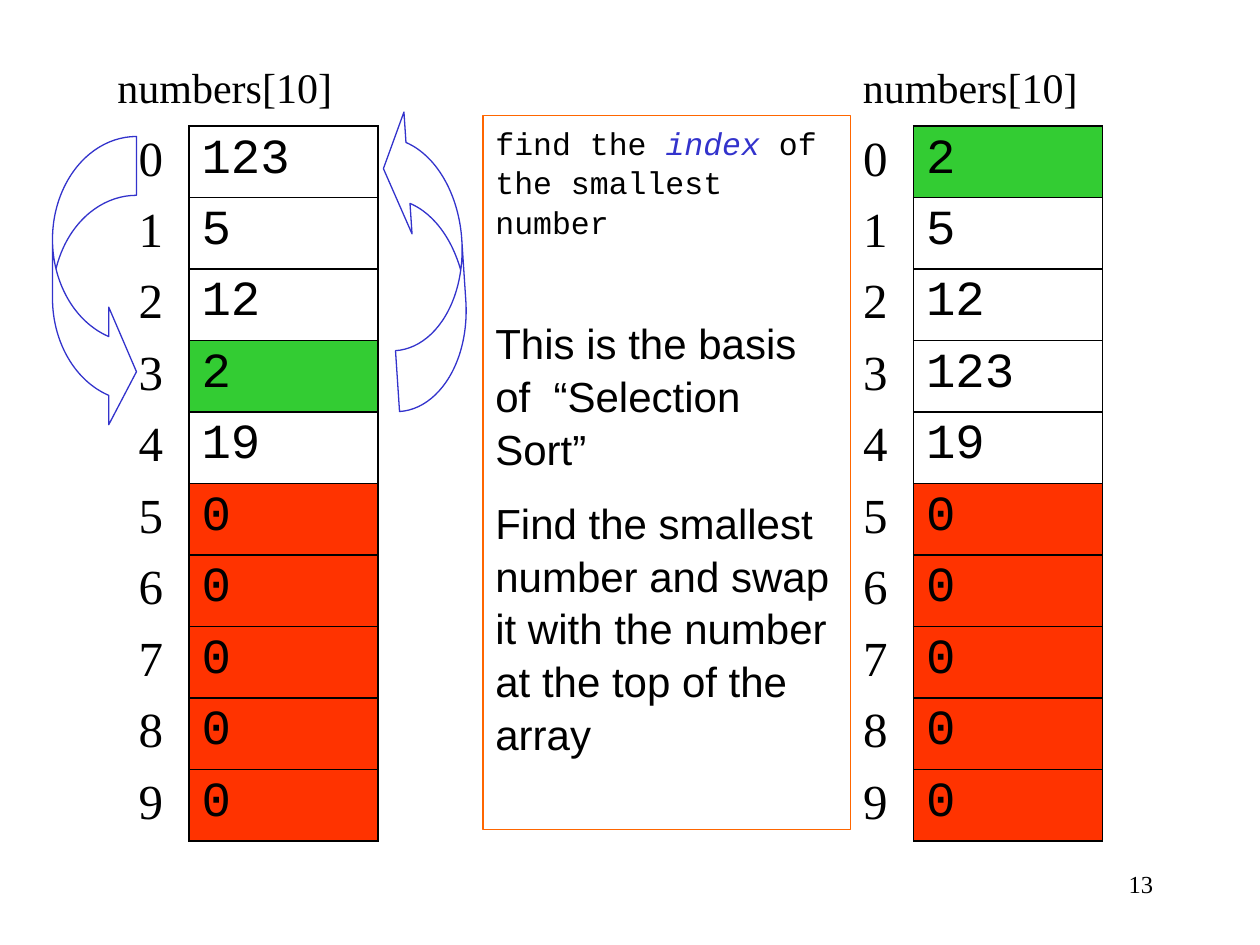
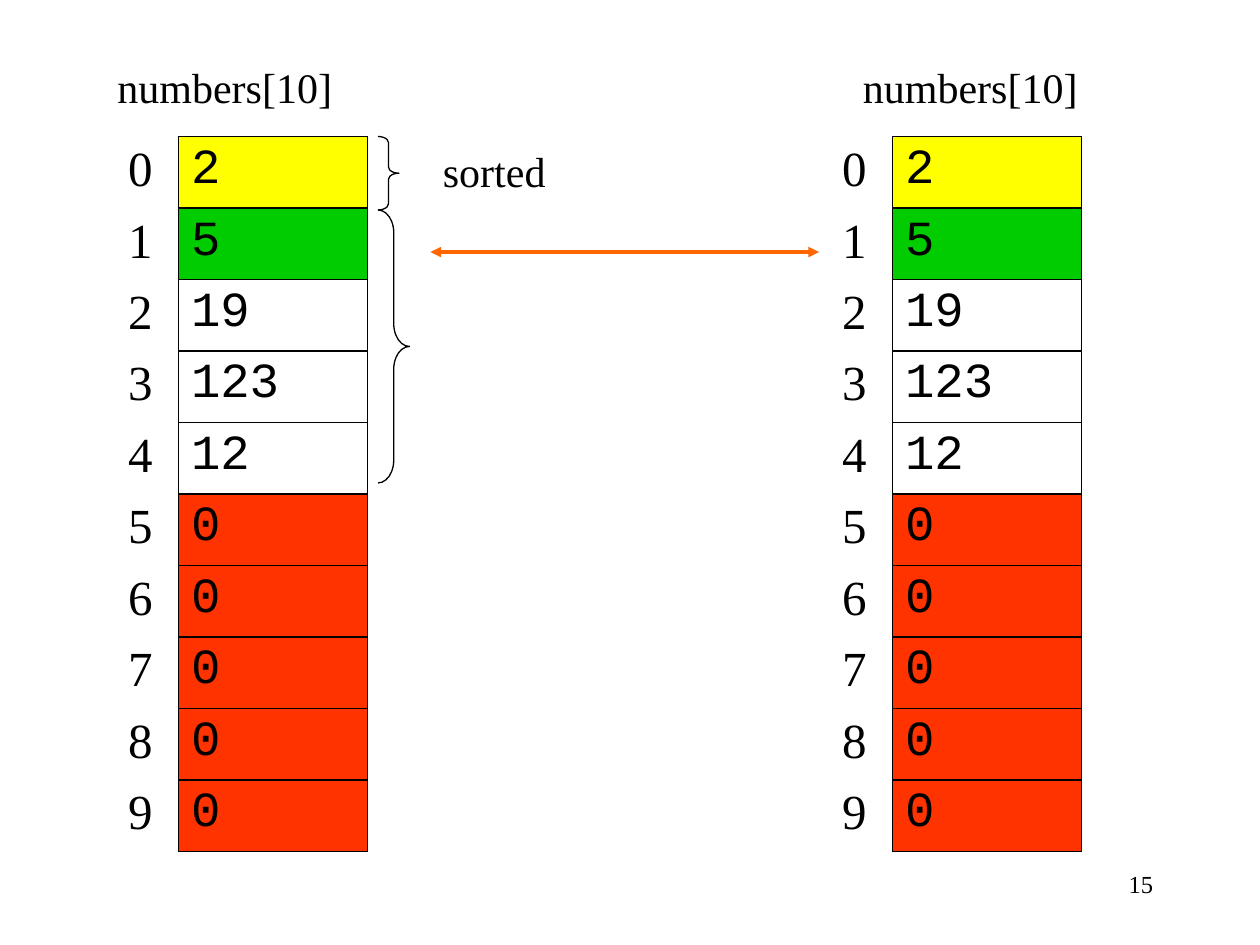
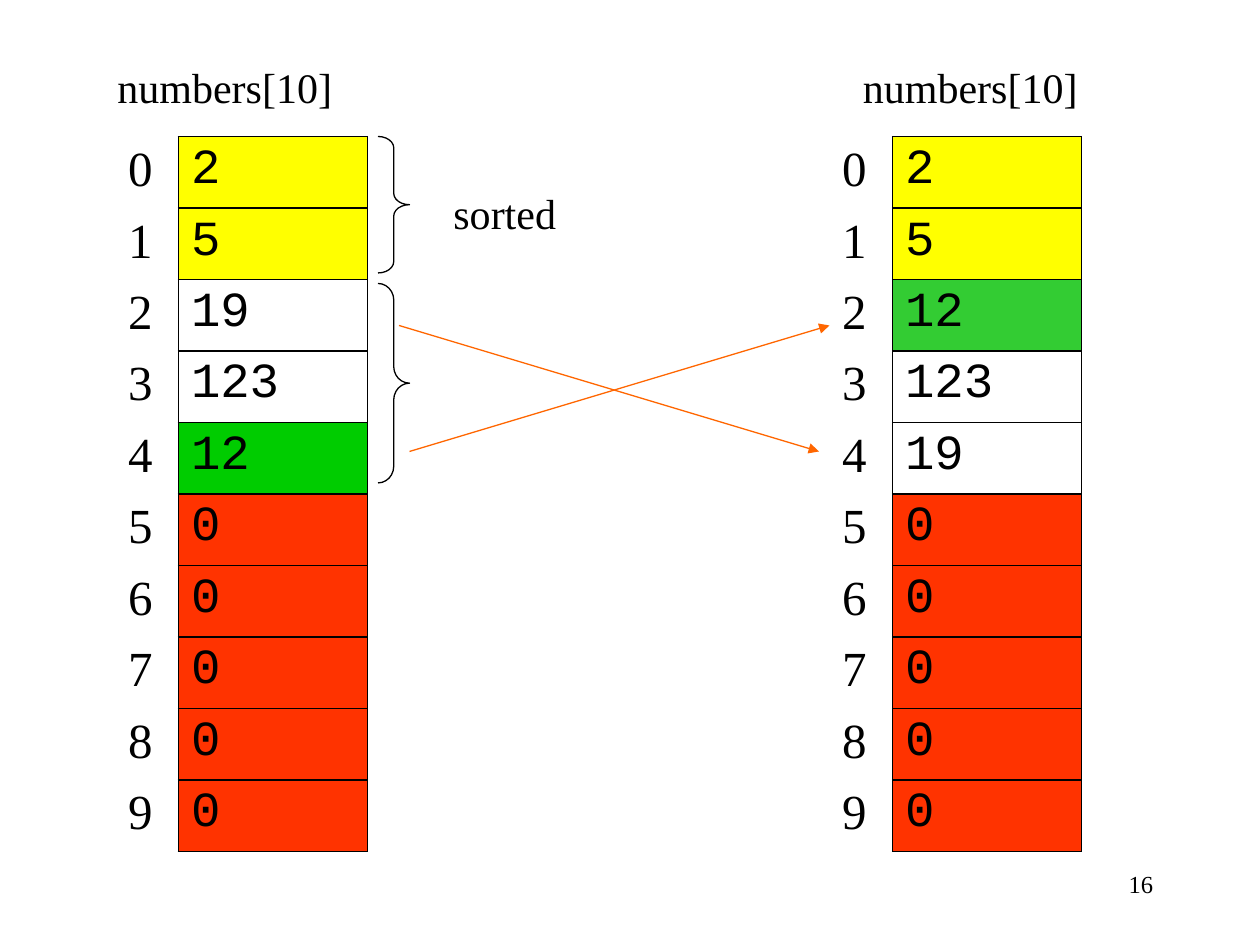
from dataclasses import dataclass

from lxml import etree
from pptx import Presentation
from pptx.dml.color import RGBColor
from pptx.enum.shapes import MSO_CONNECTOR, MSO_SHAPE
from pptx.enum.text import MSO_ANCHOR, PP_ALIGN
from pptx.oxml.ns import qn
from pptx.util import Pt

LEFT, RIGHT = PP_ALIGN.LEFT, PP_ALIGN.RIGHT
TOP = MSO_ANCHOR.TOP
RECTANGLE, BRACE = MSO_SHAPE.RECTANGLE, MSO_SHAPE.RIGHT_BRACE
RIGHT_ARROW, LEFT_ARROW = MSO_SHAPE.CURVED_RIGHT_ARROW, MSO_SHAPE.CURVED_LEFT_ARROW
STRAIGHT = MSO_CONNECTOR.STRAIGHT


@dataclass(frozen=True)
class Theme:
    black: str = "000000"
    orange: str = "FF6600"
    blue: str = "3333CC"
    unused: str = "FF3300"
    done: str = "FFFF00"
    found: str = "33CC33"
    smallest: str = "00CC00"
    serif: str = "Times New Roman"
    sans: str = "Arial"
    mono: str = "Courier New"
    cell_size: float = 28
    text_size: float = 24
    code_size: float = 18
    number_size: float = 14
    thin: float = 0.75
    border: float = 1
    thick: float = 2
    line_spacing: float = 1.05


THEME = Theme()
ARRAY_NAME = "numbers[10]"
ARRAY_LENGTH = 10
INDEX_WIDTH, VALUE_WIDTH, ROW_HEIGHT = 36, 108, 40.85
NAME_LEFTS, NAME_TOP, NAME_SIZE = (60, 486), 30, (156, 36)
SORTED_SIZE = (84, 36)
NUMBER_BOX = (516, 492, 150, 36)
BLANK_LAYOUT = 6

# A paragraph is (space before, [(text, font, size, colour, italic), ...]).
CODE = (THEME.mono, THEME.code_size)
PROSE = (THEME.sans, THEME.text_size, THEME.black, False)
NOTE_BOX = (276, 66, 210, 408)
NOTE = [
    (0, [("find the ", *CODE, THEME.black, False),
         ("index", *CODE, THEME.blue, True),
         (" of the smallest number", *CODE, THEME.black, False)]),
    (42.5, [("This is the basis of  “Selection Sort”", *PROSE)]),
    (12, [("Find the smallest number and swap it with the number at the top of the array",
           *PROSE)]),
]

# An array is (left, top, values, {index: fill}); cells past the values are unused.
# A swap arrow is (kind, box, adjustments, rotation, flipped).
# A line is (start, end, width, double-headed).
SLIDES = [
    {
        "number": "13",
        "arrays": [
            (72, 72, [123, 5, 12, 2, 19], {3: THEME.found}),
            (486, 72, [2, 5, 12, 123, 19], {0: THEME.found}),
        ],
        "note": NOTE,
        "swap_arrows": [
            (RIGHT_ARROW, (30, 78, 48, 168), (0.7, 1.4, 0.33), 0, False),
            (LEFT_ARROW, (222.5, 60, 42, 174), (0.83, 1.66, 0.33), 176.2, True),
        ],
    },
    {
        "number": "15",
        "arrays": [
            (left, 78, [2, 5, 19, 123, 12], {0: THEME.done, 1: THEME.smallest})
            for left in (66, 474)
        ],
        "braces": [(216, 78, 12, 42), (216, 120, 18, 156)],
        "sorted_at": (246, 78),
        "lines": [((246, 144), (468, 144), THEME.thick, True)],
    },
    {
        "number": "16",
        "arrays": [
            (66, 78, [2, 5, 19, 123, 12],
             {0: THEME.done, 1: THEME.done, 4: THEME.smallest}),
            (474, 78, [2, 5, 12, 123, 19],
             {0: THEME.done, 1: THEME.done, 2: THEME.found}),
        ],
        "braces": [(216, 78, 18, 78), (216, 162, 18, 114)],
        "sorted_at": (252, 102),
        "lines": [
            ((234, 258), (474, 186), THEME.thin, False),
            ((228, 186), (468, 258), THEME.thin, False),
        ],
    },
]


def points(*lengths):
    return [Pt(length) for length in lengths]


def add_run(paragraph, text, font, size, color=THEME.black, italic=False):
    run = paragraph.add_run()
    run.text = text
    run.font.name = font
    run.font.size = Pt(size)
    run.font.italic = italic
    run.font.color.rgb = RGBColor.from_string(color)


def write_paragraphs(frame, paragraphs, align=LEFT):
    frame.word_wrap = True
    frame.vertical_anchor = TOP
    for position, (space_before, runs) in enumerate(paragraphs):
        paragraph = frame.add_paragraph() if position else frame.paragraphs[0]
        paragraph.alignment = align
        paragraph.line_spacing = THEME.line_spacing
        if space_before:
            paragraph.space_before = Pt(space_before)
        for run in runs:
            add_run(paragraph, *run)


def add_label(slide, box, text, size=THEME.text_size, align=LEFT):
    label = slide.shapes.add_textbox(*points(*box))
    write_paragraphs(label.text_frame, [(0, [(text, THEME.serif, size)])], align)


def add_outline(slide, kind, box, color, adjustments=()):
    shape = slide.shapes.add_shape(kind, *points(*box))
    shape.shadow.inherit = False
    shape.fill.background()
    shape.line.color.rgb = RGBColor.from_string(color)
    shape.line.width = Pt(THEME.thin)
    for position, value in enumerate(adjustments):
        shape.adjustments[position] = value
    return shape


def set_borders(cell, sides):
    """Draw the named sides (L, R, T, B) and hide the others."""
    properties = cell._tc.get_or_add_tcPr()
    for position, side in enumerate("LRTB"):
        line = etree.Element(qn(f"a:ln{side}"), w=str(Pt(THEME.border)))
        if side in sides:
            fill = etree.SubElement(line, qn("a:solidFill"))
            etree.SubElement(fill, qn("a:srgbClr"), val=THEME.black)
        else:
            etree.SubElement(line, qn("a:noFill"))
        properties.insert(position, line)


def fill_cell(cell, text, font, color, sides):
    add_run(cell.text_frame.paragraphs[0], text, font, THEME.cell_size)
    if color:
        cell.fill.solid()
        cell.fill.fore_color.rgb = RGBColor.from_string(color)
    else:
        cell.fill.background()
    set_borders(cell, sides)


def add_array(slide, left, top, values, fills):
    width, height = INDEX_WIDTH + VALUE_WIDTH, ROW_HEIGHT * ARRAY_LENGTH
    table = slide.shapes.add_table(
        ARRAY_LENGTH, 2, *points(left, top, width, height)).table
    table.first_row = table.horz_banding = False
    for column, column_width in zip(table.columns, (INDEX_WIDTH, VALUE_WIDTH)):
        column.width = Pt(column_width)
    for index, row in enumerate(table.rows):
        row.height = Pt(ROW_HEIGHT)
        used = index < len(values)
        value = values[index] if used else 0
        color = fills.get(index) if used else THEME.unused
        fill_cell(row.cells[0], str(index), THEME.serif, None, "R")
        fill_cell(row.cells[1], str(value), THEME.mono, color, "LRTB")


def add_swap_arrow(slide, kind, box, adjustments, rotation, flipped):
    arrow = add_outline(slide, kind, box, THEME.blue, adjustments)
    arrow.rotation = rotation
    if flipped:
        arrow._element.spPr.get_or_add_xfrm().set("flipH", "1")


def add_brace(slide, box):
    width, height = box[2:]
    add_outline(slide, BRACE, box, THEME.black, (height / width / 12, 0.5))


def add_arrow_line(slide, start, end, width, double_headed):
    connector = slide.shapes.add_connector(STRAIGHT, *points(*start, *end))
    connector.line.color.rgb = RGBColor.from_string(THEME.orange)
    connector.line.width = Pt(width)
    properties = connector._element.spPr
    line = properties.get_or_add_ln()
    for tag in ("a:headEnd", "a:tailEnd") if double_headed else ("a:tailEnd",):
        etree.SubElement(line, qn(tag), type="triangle")
    etree.SubElement(properties, qn("a:effectLst"))


def add_slide(presentation, content):
    slide = presentation.slides.add_slide(presentation.slide_layouts[BLANK_LAYOUT])
    for left in NAME_LEFTS:
        add_label(slide, (left, NAME_TOP, *NAME_SIZE), ARRAY_NAME)
    for array in content["arrays"]:
        add_array(slide, *array)
    if "note" in content:
        note = add_outline(slide, RECTANGLE, NOTE_BOX, THEME.orange)
        write_paragraphs(note.text_frame, content["note"])
    for arrow in content.get("swap_arrows", []):
        add_swap_arrow(slide, *arrow)
    for box in content.get("braces", []):
        add_brace(slide, box)
    if "sorted_at" in content:
        add_label(slide, (*content["sorted_at"], *SORTED_SIZE), "sorted")
    for line in content.get("lines", []):
        add_arrow_line(slide, *line)
    add_label(slide, NUMBER_BOX, content["number"], THEME.number_size, RIGHT)


def main():
    presentation = Presentation()
    presentation.slide_width, presentation.slide_height = points(720, 540)
    for content in SLIDES:
        add_slide(presentation, content)
    presentation.save("out.pptx")


if __name__ == "__main__":
    main()
